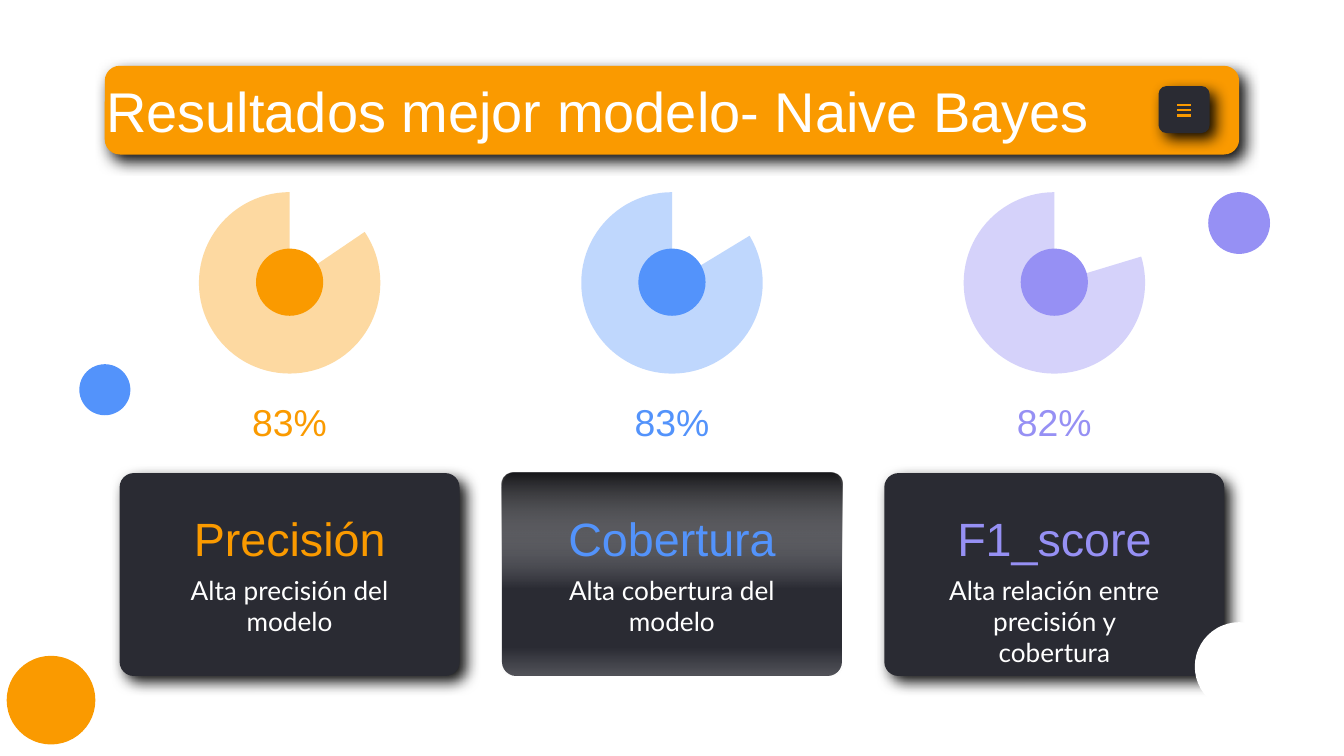
import pptx
import pptx.dml.color
import pptx.enum.shapes
import pptx.enum.text
import pptx.oxml
import pptx.oxml.ns
import pptx.util

Inches = pptx.util.Inches
qn = pptx.oxml.ns.qn
KIND = pptx.enum.shapes.MSO_SHAPE
ALIGN = pptx.enum.text.PP_ALIGN
ANCHOR = pptx.enum.text.MSO_ANCHOR
rgb = pptx.dml.color.RGBColor.from_string

ORANGE, BLUE, LILAC = "FA9A00", "5393FB", "9690F4"
DARK, WHITE = "2A2B33", "FFFFFF"
NS = 'xmlns:a="http://schemas.openxmlformats.org/drawingml/2006/main"'
SHADOW = (
    f'<a:outerShdw {NS} blurRad="100330" dist="57150" dir="2760000" algn="bl" '
    'rotWithShape="0"><a:srgbClr val="000000"><a:alpha val="94000"/></a:srgbClr>'
    '</a:outerShdw>'
)

# Widescreen slide, 16:9
presentation = pptx.Presentation()
presentation.slide_width = Inches(10)
presentation.slide_height = Inches(10) * 9 // 16
slide = presentation.slides.add_slide(presentation.slide_layouts[6])


def draw(kind, box, color, adjust=(), opacity=100, shadow=False):
    shape = slide.shapes.add_shape(kind, *map(Inches, box))
    for index, value in enumerate(adjust):
        shape.adjustments[index] = value
    shape.fill.solid()
    shape.fill.fore_color.rgb = rgb(color)
    shape.line.fill.background()
    shape.shadow.inherit = False
    properties = shape.element.spPr
    if opacity < 100:
        tint = properties.find(qn("a:solidFill"))[0]
        tint.append(pptx.oxml.parse_xml(f'<a:alpha {NS} val="{opacity * 1000}"/>'))
    if shadow:
        properties.find(qn("a:effectLst")).append(pptx.oxml.parse_xml(SHADOW))
    return shape


def write(text, box, size, color, font="Arial", align=ALIGN.CENTER,
          anchor=ANCHOR.MIDDLE, left=0.1):
    frame = slide.shapes.add_textbox(*map(Inches, box)).text_frame
    frame_format = {
        "word_wrap": True, "vertical_anchor": anchor, "margin_left": Inches(left),
        "margin_right": Inches(0.1), "margin_top": Inches(0.1),
        "margin_bottom": Inches(0.1),
    }
    for name, value in frame_format.items():
        setattr(frame, name, value)
    paragraph = frame.paragraphs[0]
    paragraph.alignment = align
    run = paragraph.add_run()
    run.text = text
    for name, value in {"name": font, "size": pptx.util.Pt(size)}.items():
        setattr(run.font, name, value)
    run.font.color.rgb = rgb(color)


# Title bar
draw(KIND.ROUNDED_RECTANGLE, (0.78, 0.49, 8.44, 0.66), ORANGE, [0.17], shadow=True)
write("Resultados mejor modelo- Naive Bayes", (0.59, 0.55, 8.25, 0.54), 30, WHITE,
      align=ALIGN.LEFT, left=0.2)

# Menu button
draw(KIND.ROUNDED_RECTANGLE, (8.62, 0.64, 0.38, 0.35), DARK, [0.17], shadow=True)
for bar_y in (0.78, 0.82, 0.86):
    bar = slide.shapes.add_connector(
        pptx.enum.shapes.MSO_CONNECTOR.STRAIGHT,
        Inches(8.76), Inches(bar_y), Inches(8.86), Inches(bar_y))
    bar.line.color.rgb = rgb(ORANGE)
    bar.line.width = pptx.util.Pt(1.18)
    bar.element.spPr.append(pptx.oxml.parse_xml(f"<a:effectLst {NS}/>"))

# Metric columns: name, score, description, colour, pie start, pie opacity
metrics = [
    ("Precisión", "83%", "Alta precisión del modelo", ORANGE, 195.5, 37),
    ("Cobertura", "83%", "Alta cobertura del modelo", BLUE, 197.23, 37),
    ("F1_score", "82%", "Alta relación entre precisión y cobertura", LILAC, 205.88, 40),
]
# Sheen over the middle card: angle and stops of position, colour, opacity
sheens = [
    (270, [(0, WHITE, 0), (43, WHITE, 0), (100, "17171A", 100)]),
    (90, [(0, WHITE, 0), (86, WHITE, 0), (100, "EEEEEE", 21)]),
]
for column, (metric, score, description, color, start, opacity) in enumerate(metrics):
    center = 5 + 2.845 * (column - 1)
    card = (center - 1.265, 3.52, 2.53, 1.51)
    is_middle = column == 1
    draw(KIND.ROUNDED_RECTANGLE, card, DARK, [0.07], shadow=not is_middle)
    for angle, stops in sheens if is_middle else []:
        sheen = draw(KIND.ROUNDED_RECTANGLE, card, DARK, [0.06])
        stop_xml = "".join(
            f'<a:gs pos="{position * 1000}"><a:srgbClr val="{stop_color}">'
            f'<a:alpha val="{alpha * 1000}"/></a:srgbClr></a:gs>'
            for position, stop_color, alpha in stops)
        gradient = pptx.oxml.parse_xml(
            f'<a:gradFill {NS} rotWithShape="1"><a:gsLst>{stop_xml}</a:gsLst>'
            f'<a:lin ang="{angle * 60000}" scaled="0"/></a:gradFill>')
        properties = sheen.element.spPr
        properties.replace(properties.find(qn("a:solidFill")), gradient)

    draw(KIND.PIE, (center - 0.675, 1.43, 1.35, 1.35), color, [start, 162], opacity)
    draw(KIND.OVAL, (center - 0.25, 1.85, 0.5, 0.5), color)
    write(score, (center - 0.54, 2.89, 1.08, 0.49), 20, color)
    write(metric, (center - 0.905, 3.78, 1.81, 0.45), 25, color)
    write(description, (center - 0.905, 4.17, 1.81, 0.62), 14, WHITE, font="Lato",
          anchor=ANCHOR.TOP)

# Decorative circles
for left, top, diameter, color in [
    (8.99, 1.43, 0.46, LILAC),
    (0.05, 4.88, 0.66, ORANGE),
    (8.89, 4.63, 0.66, WHITE),
    (0.59, 2.71, 0.38, BLUE),
]:
    draw(KIND.OVAL, (left, top, diameter, diameter), color)

presentation.save("out.pptx")
